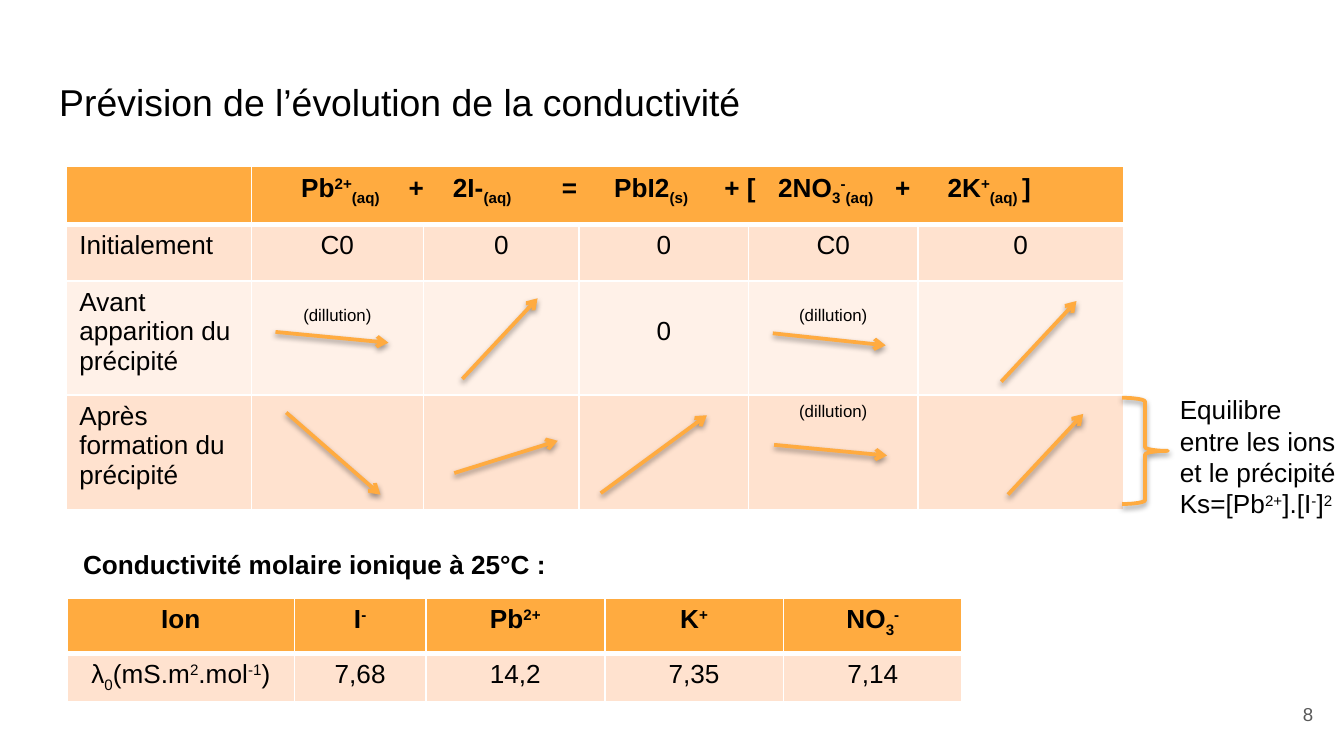
from lxml.etree import SubElement
from pptx import Presentation
from pptx.dml.color import RGBColor
from pptx.enum.shapes import MSO_CONNECTOR, MSO_SHAPE
from pptx.enum.text import MSO_ANCHOR, MSO_AUTO_SIZE, PP_ALIGN
from pptx.oxml.ns import qn
from pptx.util import Inches, Pt

FONT = "Arial"
BLACK, WHITE, GREY = "000000", "FFFFFF", "595959"
ORANGE, PEACH, CREAM = "FFAB40", "FFE2CF", "FFF1E8"
BASELINES = {"^": "30000", "_": "-25000"}
DILUTION = "(dillution)"

# A bar separates runs; ^ raises a run and _ lowers it
REACTION = ("\tPb|^2+|_(aq)|\t+\t2I-|_(aq)|\t=\tPbI2|_(s)|\t+ [\t2NO|_3|^-|_(aq)"
            "|\t+\t2K|^+|_(aq) |]")
REACTION_TABS = [0.27, 1.07, 1.4, 2.21, 2.6, 3.42, 3.82, 4.69, 5.08]
EVOLUTION = [
    ["", REACTION, "", "", "", ""],
    ["Initialement", "C0", "0", "0", "C0", "0"],
    ["Avant apparition du précipité", DILUTION, "", "0", DILUTION, ""],
    ["Après formation du précipité", "", "", "", DILUTION, ""],
]
CONDUCTIVITY = [
    ["Ion", "I|^-", "Pb|^2+", "K|^+", "NO|_3|^-"],
    ["λ|_0|(mS.m|^2|.mol|^-1|)", "7,68", "14,2", "7,35", "7,14"],
]
ARROWS = [
    # Before the precipitate appears
    (2.05, 2.47, 2.89, 2.55), (3.44, 2.82, 4, 2.22),
    (5.75, 2.48, 6.59, 2.57), (7.45, 2.84, 8.01, 2.24),
    # After the precipitate forms
    (2.13, 3.07, 2.83, 3.68), (3.38, 3.52, 4.15, 3.28), (4.47, 3.67, 5.26, 3.09),
    (5.76, 3.31, 6.6, 3.39), (7.5, 3.68, 8.06, 3.08),
]


def color(value):
    return RGBColor.from_string(value)


def write(paragraph, text, size=14, bold=False, align=PP_ALIGN.LEFT, text_color=BLACK):
    paragraph.alignment = align
    font = paragraph.font
    font.name, font.size, font.bold = FONT, Pt(size), bold
    font.color.rgb = color(text_color)
    for part in filter(None, text.split("|")):
        run = paragraph.add_run()
        run.text = part.lstrip("^_")
        if part[0] in BASELINES:
            run.font._element.set("baseline", BASELINES[part[0]])


def add_text(slide, box, text, wrap=True, **style):
    shape = slide.shapes.add_textbox(*map(Inches, box))
    shape.text_frame.word_wrap = wrap
    write(shape.text_frame.paragraphs[0], text, **style)
    return shape


def add_title(slide, text):
    title = slide.shapes.title
    title.left, title.top, title.width, title.height = map(Inches, (0.34, 0.49, 9.32, 0.63))
    frame = title.text_frame
    frame.auto_size = MSO_AUTO_SIZE.NONE
    frame.vertical_anchor = MSO_ANCHOR.TOP
    frame.margin_left = frame.margin_right = Inches(0.1)
    frame.margin_top = frame.margin_bottom = Inches(0.1)
    write(frame.paragraphs[0], text, size=20)


def set_borders(cell, top=1, bottom=1):
    properties = cell._tc.get_or_add_tcPr()
    for side, width in (("L", 1), ("R", 1), ("T", top), ("B", bottom)):
        line = SubElement(properties, qn(f"a:ln{side}"), w=str(Pt(width)))
        fill = SubElement(line, qn("a:solidFill"))
        SubElement(fill, qn("a:srgbClr"), val=WHITE)


def add_table(slide, left, top, widths, heights, rows, label_align):
    frame = slide.shapes.add_table(len(rows), len(widths), Inches(left), Inches(top),
                                   Inches(sum(widths)), Inches(sum(heights)))
    table = frame.table
    table.first_row = table.horz_banding = False
    for column, width in zip(table.columns, widths):
        column.width = Inches(width)
    for r, (texts, height) in enumerate(zip(rows, heights)):
        table.rows[r].height = Inches(height)
        for c, text in enumerate(texts):
            cell = table.cell(r, c)
            # A thick rule lies under the header
            set_borders(cell, top=3 if r == 1 else 1, bottom=3 if r == 0 else 1)
            cell.fill.solid()
            cell.fill.fore_color.rgb = color((ORANGE, PEACH, CREAM, PEACH)[r])
            write(cell.text_frame.paragraphs[0], text, bold=r == 0,
                  size=9 if text == DILUTION else 14,
                  align=PP_ALIGN.CENTER if c else label_align)
    return table


def set_tabs(paragraph, positions):
    paragraph.alignment = PP_ALIGN.LEFT
    properties = paragraph._p.get_or_add_pPr()
    tabs = SubElement(properties, qn("a:tabLst"))
    for position in positions:
        SubElement(tabs, qn("a:tab"), pos=str(Inches(position)), algn="l")
    # Tab stops come before the default font
    properties.insert(0, tabs)


def add_shadow(shape):
    effects = SubElement(shape._element.spPr, qn("a:effectLst"))
    shadow = SubElement(effects, qn("a:outerShdw"), blurRad=str(Pt(3.1)),
                        dist=str(Pt(1.6)), dir="5400000", rotWithShape="0")
    shade = SubElement(shadow, qn("a:srgbClr"), val=BLACK)
    SubElement(shade, qn("a:alpha"), val="38000")


def style_line(shape):
    shape.line.color.rgb = color(ORANGE)
    shape.line.width = Pt(2)


def add_arrow(slide, points):
    arrow = slide.shapes.add_connector(MSO_CONNECTOR.STRAIGHT, *map(Inches, points))
    style_line(arrow)
    SubElement(arrow._element.spPr.find(qn("a:ln")), qn("a:tailEnd"), type="arrow")
    add_shadow(arrow)


def add_brace(slide, box):
    brace = slide.shapes.add_shape(MSO_SHAPE.RIGHT_BRACE, *map(Inches, box))
    brace.fill.background()
    style_line(brace)
    add_shadow(brace)


def main():
    presentation = Presentation()
    # Widescreen, 16 by 9
    presentation.slide_width = Inches(10)
    presentation.slide_height = Inches(10) * 9 // 16
    slide = presentation.slides.add_slide(presentation.slide_layouts[5])
    add_title(slide, "Prévision de l’évolution de la conductivité")

    # Slide number
    number = add_text(slide, (9.27, 5.1, 0.6, 0.43), "8", size=10,
                      align=PP_ALIGN.RIGHT, text_color=GREY)
    number.text_frame.vertical_anchor = MSO_ANCHOR.MIDDLE

    # Evolution of each species
    evolution = add_table(slide, 0.49, 1.24, [1.38, 1.28, 1.16, 1.26, 1.26, 1.53],
                          [0.43, 0.42, 0.85, 0.85], EVOLUTION, PP_ALIGN.LEFT)
    header = evolution.cell(0, 1)
    header.merge(evolution.cell(0, 5))
    set_tabs(header.text_frame.paragraphs[0], REACTION_TABS)
    for column, margin in ((1, 0.19), (3, 0.27), (4, 0.19)):
        evolution.cell(2, column).margin_top = Inches(margin)
    for points in ARROWS:
        add_arrow(slide, points)

    # Equilibrium note
    add_brace(slide, (8.35, 2.96, 0.34, 0.79))
    add_text(slide, (8.68, 2.88, 1.37, 1.04),
             "Equilibre entre les ions et le précipité Ks=[Pb|^2+|].[I|^-|]|^2")

    # Molar conductivities
    add_text(slide, (0.52, 4.03, 3.67, 0.34), "Conductivité molaire ionique à 25°C :",
             wrap=False, bold=True)
    conductivity = add_table(slide, 0.5, 4.45, [1.69, 0.98, 1.33, 1.33, 1.33],
                             [0.41, 0.36], CONDUCTIVITY, PP_ALIGN.CENTER)
    conductivity.cell(1, 0).text_frame.paragraphs[0].line_spacing = 0.9

    presentation.save("out.pptx")


if __name__ == "__main__":
    main()
